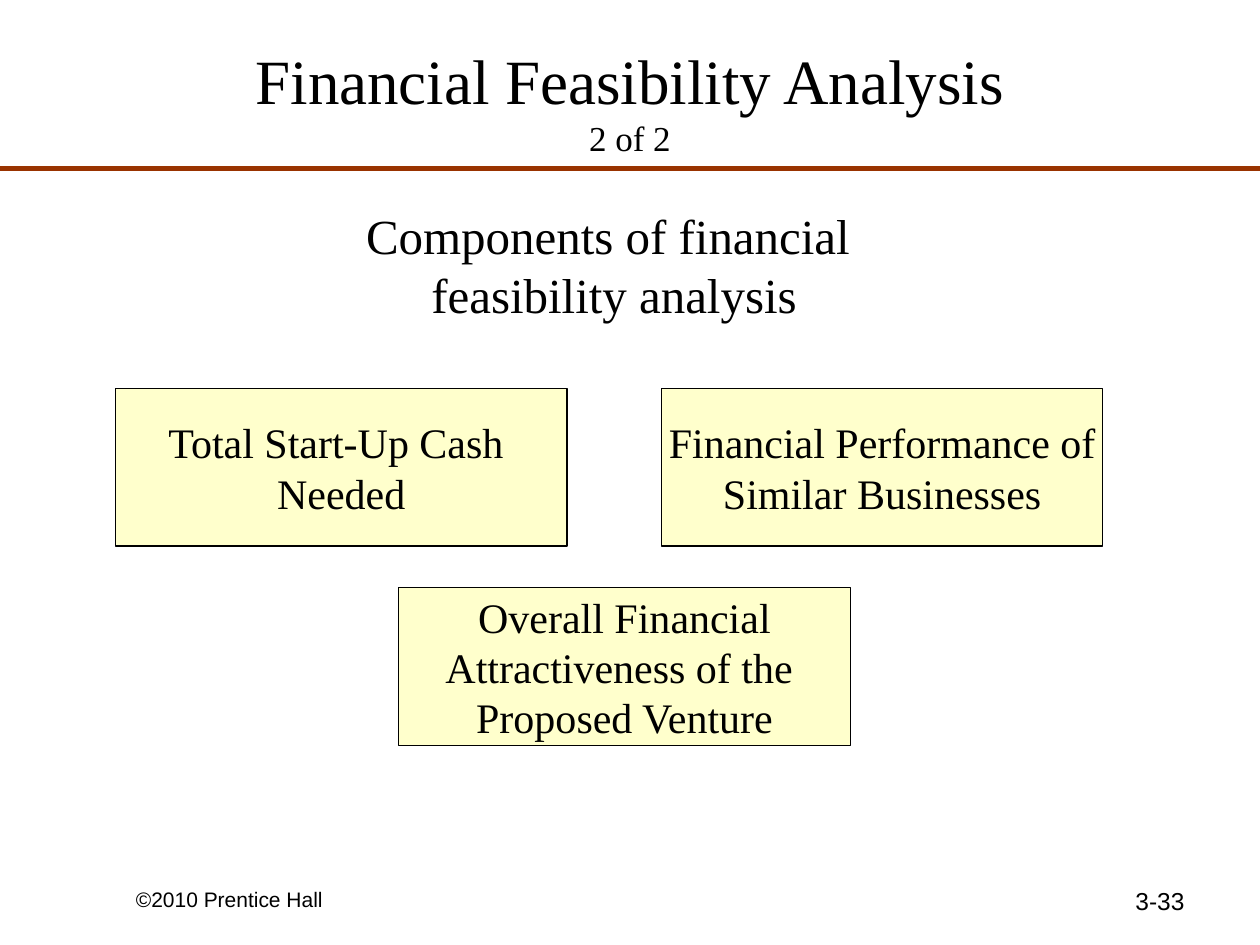
from lxml import etree
from pptx import Presentation
from pptx.dml.color import RGBColor
from pptx.enum.shapes import MSO_CONNECTOR, MSO_SHAPE
from pptx.enum.text import MSO_ANCHOR, MSO_AUTO_SIZE, PP_ALIGN
from pptx.oxml.ns import qn
from pptx.util import Cm, Pt

LEFT, CENTER, RIGHT = PP_ALIGN.LEFT, PP_ALIGN.CENTER, PP_ALIGN.RIGHT
MIDDLE = MSO_ANCHOR.MIDDLE
NO_AUTOFIT = MSO_AUTO_SIZE.NONE
RECTANGLE = MSO_SHAPE.RECTANGLE
STRAIGHT = MSO_CONNECTOR.STRAIGHT

SLIDE_WIDTH, SLIDE_HEIGHT = 25.4, 19.05


def color(value):
    return RGBColor.from_string(value)


class SlideBuilder:
    serif, sans = "Times New Roman", "Arial"
    ink, rule_color, box_fill = "000000", "993300", "FFFFCC"

    def __init__(self, slide):
        self.slide = slide

    def style(self, font, size, name):
        font.size, font.name = Pt(size), name
        font.color.rgb = color(self.ink)

    def fill_text(self, frame, lines, size, name, alignment):
        frame.text = "\n".join(lines)
        for paragraph in frame.paragraphs:
            paragraph.alignment = alignment
            self.style(paragraph.font, size, name)

    def title(self, heading, part, left, top, width, height):
        shape = self.slide.shapes.title
        shape.left, shape.top = Cm(left), Cm(top)
        shape.width, shape.height = Cm(width), Cm(height)
        frame = shape.text_frame
        frame.auto_size, frame.vertical_anchor = NO_AUTOFIT, MIDDLE
        paragraph = frame.paragraphs[0]
        paragraph.alignment = CENTER
        for text, size in ((heading, 36), (part, 20)):
            if paragraph.runs:
                paragraph.add_line_break()
            run = paragraph.add_run()
            run.text = text
            self.style(run.font, size, self.serif)

    def text(self, lines, left, top, width, height, size, name, alignment):
        shape = self.slide.shapes.add_textbox(Cm(left), Cm(top), Cm(width), Cm(height))
        shape.text_frame.word_wrap = True
        self.fill_text(shape.text_frame, lines, size, name, alignment)

    def box(self, lines, left, top, width, height):
        shape = self.slide.shapes.add_shape(
            RECTANGLE, Cm(left), Cm(top), Cm(width), Cm(height))
        shape.shadow.inherit = False
        shape.fill.solid()
        shape.fill.fore_color.rgb = color(self.box_fill)
        shape.line.color.rgb = color(self.ink)
        shape.line.width = Pt(0.75)
        frame = shape.text_frame
        frame.word_wrap, frame.vertical_anchor = False, MIDDLE
        self.fill_text(frame, lines, 24, self.serif, CENTER)

    def rule(self, top):
        line = self.slide.shapes.add_connector(
            STRAIGHT, Cm(0), Cm(top), Cm(SLIDE_WIDTH), Cm(top))
        line.line.color.rgb = color(self.rule_color)
        line.line.width = Pt(3)
        etree.SubElement(line._element.spPr, qn("a:effectLst"))


def main():
    presentation = Presentation()
    presentation.slide_width = Cm(SLIDE_WIDTH)
    presentation.slide_height = Cm(SLIDE_HEIGHT)
    title_only = presentation.slide_layouts[5]
    builder = SlideBuilder(presentation.slides.add_slide(title_only))

    # Footer and slide number
    builder.text(["©2010 Prentice Hall"], 2.49, 17.75, 5.92, 0.69, 12, builder.sans, LEFT)
    builder.text(["3-33"], 18.21, 17.73, 5.92, 1.32, 14, builder.sans, RIGHT)

    # Title with its rule
    builder.title("Financial Feasibility Analysis", "2 of 2", 1.27, 0.43, 22.86, 3.18)
    builder.rule(3.39)

    # Subheading
    builder.text(["Components of financial ", "feasibility analysis"],
                 2.75, 4.02, 19.26, 2.64, 28, builder.serif, CENTER)

    # Component boxes
    upper_row, lower_row, box_height = 7.83, 11.85, 3.18
    components = [
        (["Total Start-Up Cash ", "Needed"], 2.33, upper_row, 9.1),
        (["Financial Performance of", "Similar Businesses"], 13.34, upper_row, 8.89),
        (["Overall Financial", "Attractiveness of the ", "Proposed Venture"],
         8.04, lower_row, 9.1),
    ]
    for lines, left, top, width in components:
        builder.box(lines, left, top, width, box_height)

    presentation.save("out.pptx")


if __name__ == "__main__":
    main()
